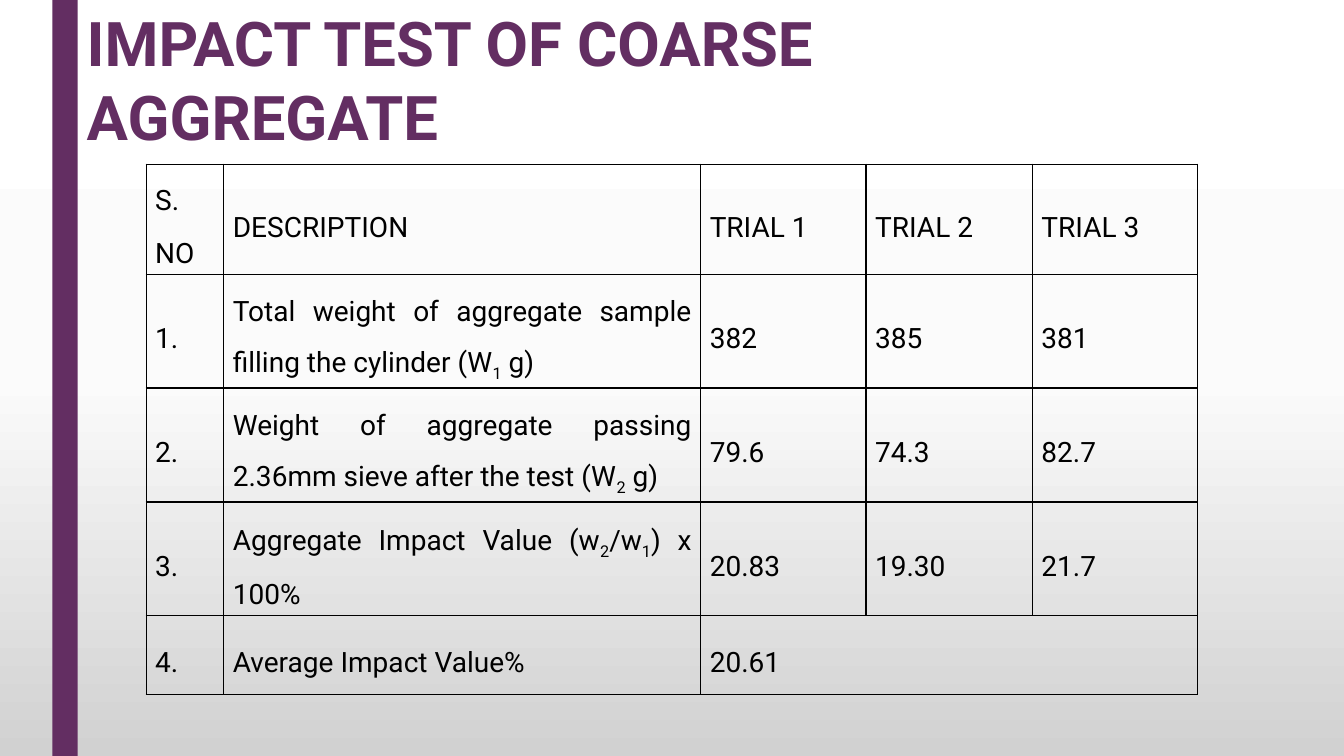
import pptx
import pptx.dml.color
import pptx.enum.shapes
import pptx.enum.text
import pptx.oxml
import pptx.oxml.ns
import pptx.util
import copy

Inches = pptx.util.Inches
Pt = pptx.util.Pt
ALIGN = pptx.enum.text.PP_ALIGN
ANCHOR = pptx.enum.text.MSO_ANCHOR
qn = pptx.oxml.ns.qn

FONT = "Roboto"
PLUM = "632E62"
BLACK = "000000"
BACKGROUND_STOPS = [(0, "FFFFFF"), (0.5, "FBFBFB"), (1, "D1D1D1")]

COLUMN_WIDTHS = [0.77, 4.73, 1.64, 1.65, 1.64]
ROW_HEIGHTS = [1.09, 1.13, 1.13, 1.13, 0.78]
RESULTS = [
    ["S.\nNO", "DESCRIPTION", "TRIAL 1", "TRIAL 2", "TRIAL 3"],
    ["1.", "Total weight of aggregate sample filling the cylinder (W_1 g)", "382", "385", "381"],
    ["2.", "Weight of aggregate passing 2.36mm sieve after the test (W_2 g)", "79.6", "74.3", "82.7"],
    ["3.", "Aggregate Impact Value (w_2/w_1) x 100%", "20.83", "19.30", "21.7"],
    ["4.", "Average Impact Value%", "20.61"],
]


def rgb(hex_colour):
    return pptx.dml.color.RGBColor.from_string(hex_colour)


def write_text(frame, text, size=20, colour=BLACK, bold=False,
               align=ALIGN.LEFT, line_spacing=1.0, space_after=0):
    """Write one paragraph per line; a character after "_" becomes a subscript."""
    for index, line in enumerate(text.split("\n")):
        paragraph = frame.add_paragraph() if index else frame.paragraphs[0]
        paragraph.alignment = align
        paragraph.line_spacing = line_spacing
        paragraph.space_before = Pt(0)
        paragraph.space_after = Pt(space_after)
        first, *others = line.split("_")
        pieces = [(first, False)]
        for other in others:
            pieces += [(other[0], True), (other[1:], False)]
        for piece, subscript in pieces:
            run = paragraph.add_run()
            run.text = piece
            run.font.name = FONT
            run.font.size = Pt(size)
            run.font.bold = bold
            run.font.color.rgb = rgb(colour)
            if subscript:
                run.font._element.set("baseline", "-25000")


def paint_background(slide):
    fill = slide.background.fill
    fill.gradient()
    fill.gradient_angle = 270
    stop_list = next(slide._element.iter(qn("a:gsLst")))
    stop_list.append(copy.deepcopy(stop_list[-1]))
    for stop, (position, colour) in zip(fill.gradient_stops, BACKGROUND_STOPS):
        stop.position = position
        stop.color.rgb = rgb(colour)


def add_side_bar(slide, left, top, width, height):
    bar = slide.shapes.add_shape(
        pptx.enum.shapes.MSO_SHAPE.RECTANGLE,
        Inches(left), Inches(top), Inches(width), Inches(height))
    bar.shadow.inherit = False
    bar.fill.solid()
    bar.fill.fore_color.rgb = rgb(PLUM)
    bar.line.fill.background()


def place_title(slide, left, top, width, height):
    title = slide.shapes.title
    title.left, title.top = Inches(left), Inches(top)
    title.width, title.height = Inches(width), Inches(height)
    frame = title.text_frame
    frame.word_wrap = True
    frame.auto_size = pptx.enum.text.MSO_AUTO_SIZE.NONE
    frame.vertical_anchor = ANCHOR.TOP
    write_text(frame, "IMPACT TEST OF COARSE AGGREGATE", size=44, colour=PLUM, bold=True)


def outline_cell(cell):
    properties = cell._tc.get_or_add_tcPr()
    for side in ("lnL", "lnR", "lnT", "lnB"):
        properties.append(pptx.oxml.parse_xml(
            f'<a:{side} {pptx.oxml.ns.nsdecls("a")} w="{Pt(1)}"><a:solidFill>'
            f'<a:srgbClr val="{BLACK}"/></a:solidFill></a:{side}>'))


def add_results_table(slide, left, top):
    table = slide.shapes.add_table(
        len(ROW_HEIGHTS), len(COLUMN_WIDTHS), Inches(left), Inches(top),
        Inches(sum(COLUMN_WIDTHS)), Inches(sum(ROW_HEIGHTS))).table
    table.first_row = False
    table.horz_banding = False
    for column, width in zip(table.columns, COLUMN_WIDTHS):
        column.width = Inches(width)
    for row, height in zip(table.rows, ROW_HEIGHTS):
        row.height = Inches(height)
    for cell in table.iter_cells():
        outline_cell(cell)
        cell.fill.background()
        cell.vertical_anchor = ANCHOR.MIDDLE
        cell.margin_left = cell.margin_right = Inches(0.09)
        cell.margin_top = cell.margin_bottom = Inches(0.04)
    average_row = len(RESULTS) - 1
    table.cell(average_row, 2).merge(table.cell(average_row, 4))
    for row_index, entries in enumerate(RESULTS):
        for column_index, entry in enumerate(entries):
            write_text(table.cell(row_index, column_index).text_frame, entry,
                       align=ALIGN.JUSTIFY, line_spacing=1.5, space_after=2)


def main():
    presentation = pptx.Presentation()
    presentation.slide_width = Inches(13.33)
    presentation.slide_height = Inches(7.5)
    slide = presentation.slides.add_slide(presentation.slide_layouts[5])
    paint_background(slide)
    add_side_bar(slide, 0.52, 0, 0.25, 7.5)
    add_results_table(slide, 1.45, 1.63)
    place_title(slide, 0.76, 0, 10.92, 1.53)
    presentation.save("out.pptx")


if __name__ == "__main__":
    main()
